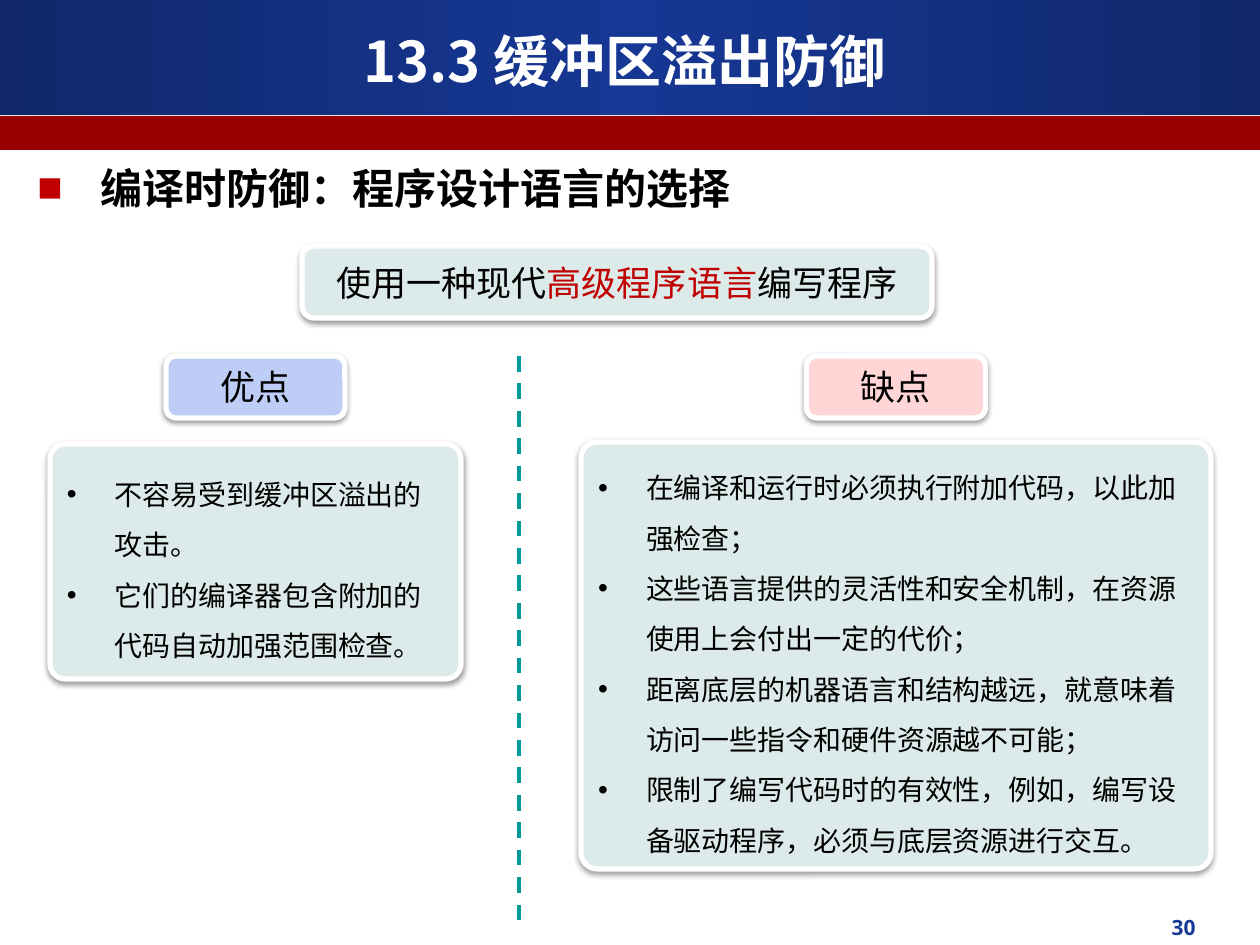
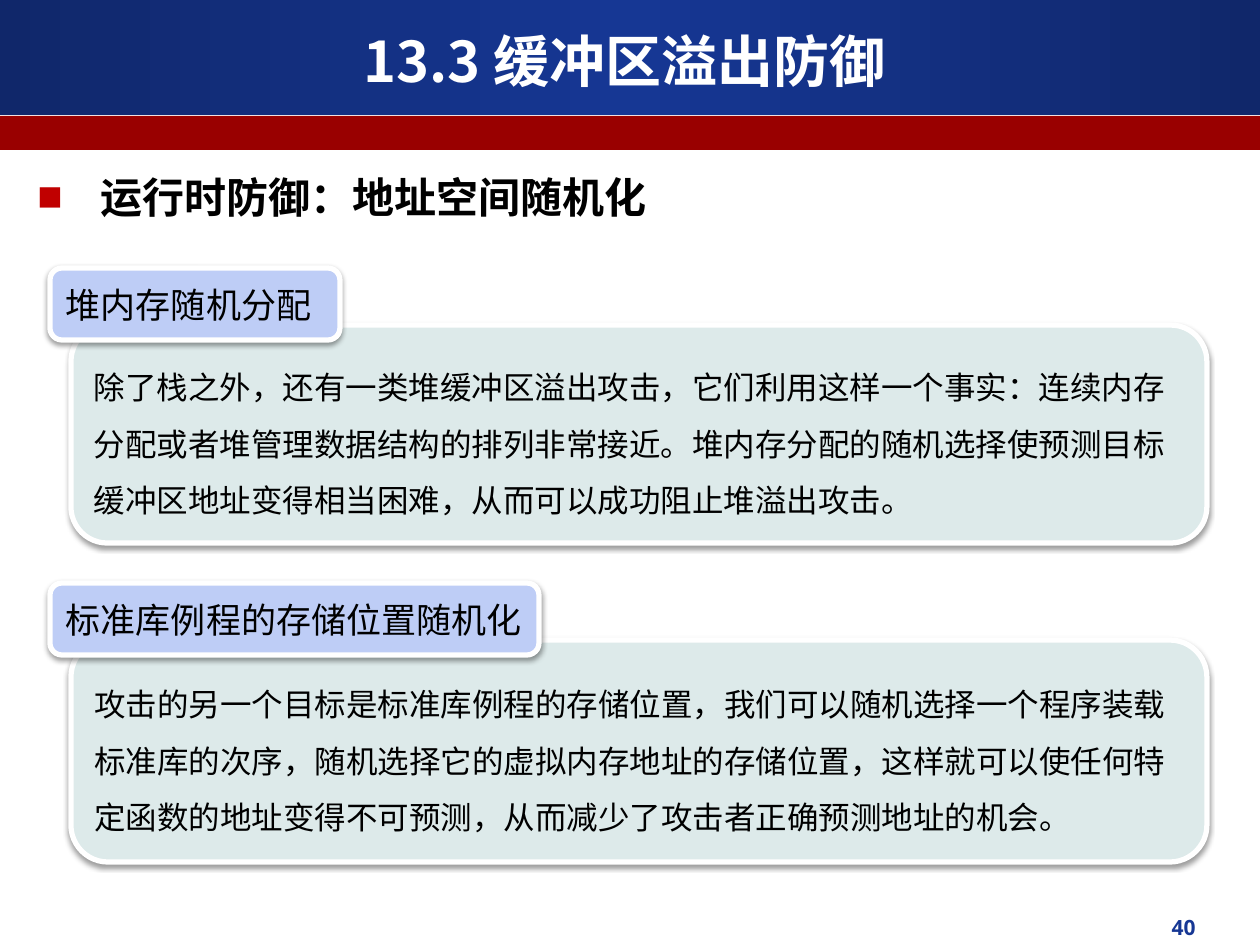
from copy import deepcopy
from lxml import etree
from pptx import Presentation
from pptx.dml.color import RGBColor
from pptx.enum.dml import MSO_LINE
from pptx.enum.shapes import MSO_CONNECTOR, MSO_SHAPE
from pptx.enum.text import MSO_ANCHOR, PP_ALIGN
from pptx.oxml.ns import qn
from pptx.util import Emu, Pt

RECT, ROUND = MSO_SHAPE.RECTANGLE, MSO_SHAPE.ROUNDED_RECTANGLE
LEFT, MID, RIGHT = PP_ALIGN.LEFT, PP_ALIGN.CENTER, PP_ALIGN.RIGHT
TOP, CENTER = MSO_ANCHOR.TOP, MSO_ANCHOR.MIDDLE
DASH, STRAIGHT = MSO_LINE.DASH, MSO_CONNECTOR.STRAIGHT
HAN, LATIN = "Noto Sans CJK SC", "Open Sans"
HEX = {"navy": "10276A", "blue": "163794", "band": "990000", "red": "C00000",
       "black": "000000", "white": "FFFFFF", "mint": "DDEAEA",
       "sky": "BECDF6", "pink": "FFD5D5", "teal": "009999"}

TITLE = "13.3 缓冲区溢出防御"
CHOICE = [("使用一种现代", "black"), ("高级程序语言", "red"), ("编写程序", "black")]
SIDES = [
    {"name": "优点", "fill": "sky", "box": (50, 444, 411, 235), "round": 0.065,
     "items": ["不容易受到缓冲区溢出的攻击。",
               "它们的编译器包含附加的代码自动加强范围检查。"]},
    {"name": "缺点", "fill": "pink", "box": (581, 442, 630, 427), "round": 0.038,
     "items": ["在编译和运行时必须执行附加代码，以此加强检查；",
               "这些语言提供的灵活性和安全机制，在资源使用上会付出一定的代价；",
               "距离底层的机器语言和结构越远，就意味着访问一些指令和硬件资源越不可能；",
               "限制了编写代码时的有效性，例如，编写设备驱动程序，必须与底层资源进行交互。"]},
]
TOPICS = [
    ("堆内存随机分配", 290, 268, 218,
     "除了栈之外，还有一类堆缓冲区溢出攻击，它们利用这样一个事实：连续内存分配或者堆管理"
     "数据结构的排列非常接近。堆内存分配的随机选择使预测目标缓冲区地址变得相当困难，"
     "从而可以成功阻止堆溢出攻击。"),
    ("标准库例程的存储位置随机化", 489, 583, 222,
     "攻击的另一个目标是标准库例程的存储位置，我们可以随机选择一个程序装载标准库的次序，"
     "随机选择它的虚拟内存地址的存储位置，这样就可以使任何特定函数的地址变得不可预测，"
     "从而减少了攻击者正确预测地址的机会。"),
]


def px(n):
    return Emu(round(n * 914400 / 126))


def rgb(name):
    return RGBColor.from_string(HEX[name])


def add(parent, tag, **attrs):
    node = etree.SubElement(parent, qn(tag))
    for key, val in attrs.items():
        node.set(key, str(val))
    return node


def write(shape, paras, size, color="black", font=HAN, bold=False, align=LEFT,
          anchor=TOP, space=None, mark=None):
    frame = shape.text_frame
    frame.word_wrap = True
    frame.vertical_anchor = anchor
    for i, parts in enumerate(paras):
        para = frame.paragraphs[0] if i == 0 else frame.add_paragraph()
        para.alignment = align
        if space:
            para.line_spacing = space
        if mark:
            char, face, indent, tint = mark
            props = para._p.get_or_add_pPr()
            props.set("marL", str(px(indent)))
            props.set("indent", str(-px(indent)))
            add(add(props, "a:buClr"), "a:srgbClr", val=HEX[tint])
            add(props, "a:buFont", typeface=face)
            add(props, "a:buChar", char=char)
        if isinstance(parts, str):
            parts = [(parts, color)]
        for text, tint in parts:
            run = para.add_run()
            run.text = text
            run.font.size = Pt(size)
            run.font.bold = bold
            run.font.name = font
            run.font.color.rgb = rgb(tint)
            add(run.font._element, "a:ea", typeface=font)


def card(slide, box, fill, paras, size, curve=None, **style):
    shape = slide.shapes.add_shape(ROUND, *map(px, box))
    if curve:
        shape.adjustments[0] = curve
    shape.fill.solid()
    shape.fill.fore_color.rgb = rgb(fill)
    shape.line.color.rgb = rgb("white")
    shape.line.width = Pt(3)
    shape.shadow.inherit = False
    glow = add(shape.element.spPr.find(qn("a:effectLst")), "a:outerShdw",
               blurRad=Pt(3.1), dist=Pt(1.6), dir=90 * 60000, rotWithShape=0)
    add(add(glow, "a:srgbClr", val=HEX["black"]), "a:alpha", val=38000)
    write(shape, paras, size, anchor=CENTER, **style)


def label(slide, box, text, size, **style):
    write(slide.shapes.add_textbox(*map(px, box)), [text], size, bold=True, **style)


def band(slide, layout, top, high, spot):
    shape = slide.shapes.add_shape(RECT, 0, px(top), deck.slide_width, px(high))
    shape.shadow.inherit = False
    shape.line.fill.background()
    layout.shapes.element.insert(spot, shape.element)
    return shape


def dress(slide, layout):
    fill = band(slide, layout, 0, 115, 2).fill
    fill.gradient()
    fill.gradient_angle = 0
    stops = layout.shapes.element.find(".//" + qn("a:gsLst"))
    stops.insert(1, deepcopy(stops[0]))
    for stop, at, tint in zip(fill.gradient_stops, (0, 0.5, 1), ("navy", "blue", "navy")):
        stop.position = at
        stop.color.rgb = rgb(tint)
    strip = band(slide, layout, 116, 34, 3)
    strip.fill.solid()
    strip.fill.fore_color.rgb = rgb("band")


def page(head, top, number):
    slide = deck.slides.add_slide(plain)
    title = slide.shapes.title
    title.left, title.top, title.width, title.height = map(px, (42, 21, 1166, 78))
    write(title, [TITLE], 32, "white", bold=True, align=MID, anchor=CENTER)
    label(slide, (809, 908, 399, 36), number, 12, color="blue", font=LATIN, align=RIGHT)
    label(slide, (25, top, 883, 63), head, 24, mark=("■", "Arial", 63, "red"))
    return slide


deck = Presentation()
deck.slide_width, deck.slide_height = px(1260), px(945)
plain = deck.slide_layouts[5]

first = page("编译时防御：程序设计语言的选择", 156, "30")
dress(first, plain)
card(first, (302, 246, 630, 72), "mint", [CHOICE], 20, align=MID)
rule = first.shapes.add_connector(STRAIGHT, px(519), px(356), px(519), px(924))
rule.line.color.rgb = rgb("teal")
rule.line.width = Pt(2.25)
rule.line.dash_style = DASH
add(rule.element.spPr, "a:effectLst")
for side in SIDES:
    left, top, wide, high = side["box"]
    tab = 179
    card(first, (left + (wide - tab) / 2, 356, tab, 62), side["fill"],
         [side["name"]], 20, align=MID)
    card(first, side["box"], "mint", side["items"], 16, side["round"], space=1.5,
         mark=("•", "Arial", 48, "black"))

second = page("运行时防御：地址空间随机化", 165, "40")
for name, wide, top, high, text in TOPICS:
    card(second, (71, top + 57, 1136, high), "mint", [text], 18, space=1.5)
    card(second, (50, top, wide, 72), "sky", [name], 20)

deck.save("out.pptx")
